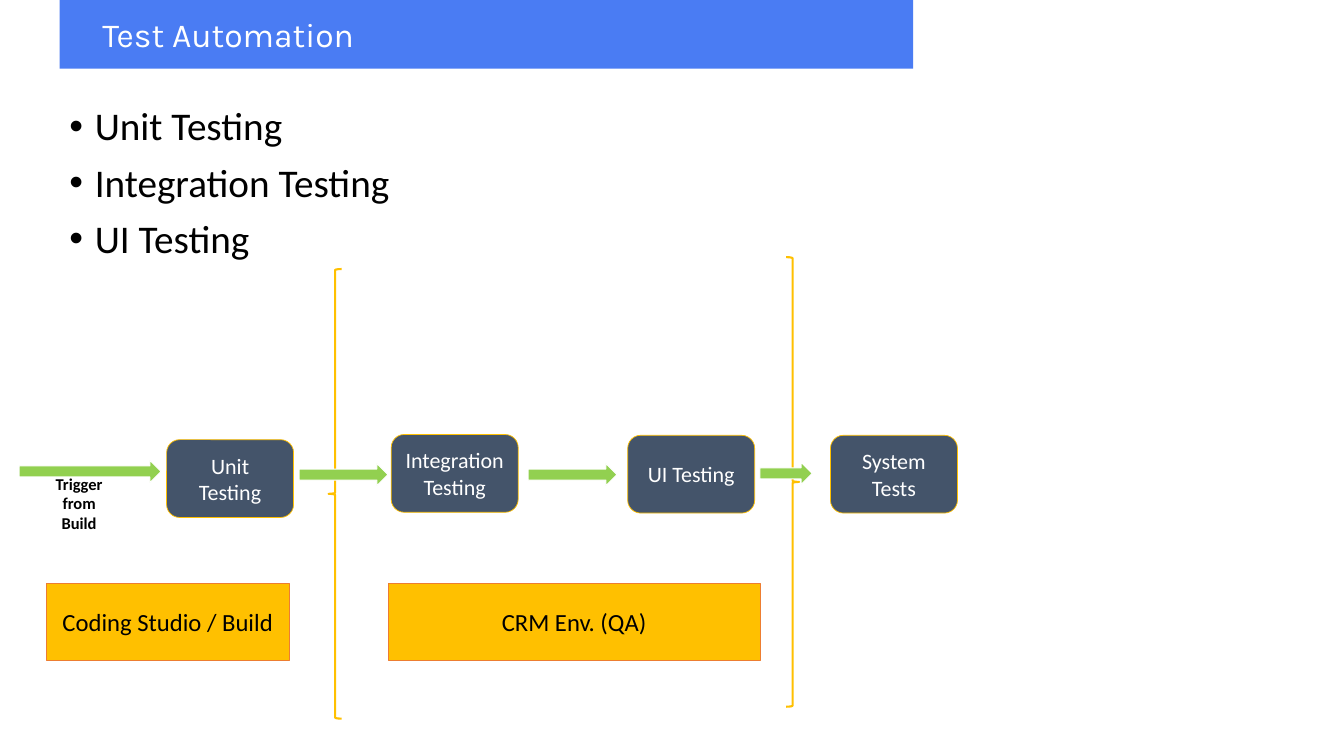
from lxml import etree
from pptx import Presentation
from pptx.dml.color import RGBColor
from pptx.enum.shapes import MSO_SHAPE
from pptx.enum.text import MSO_ANCHOR, PP_ALIGN
from pptx.oxml.ns import qn
from pptx.util import Cm, Pt

RECTANGLE = MSO_SHAPE.RECTANGLE
ROUNDED = MSO_SHAPE.ROUNDED_RECTANGLE
ARROW = MSO_SHAPE.RIGHT_ARROW
LEFT_BRACE = MSO_SHAPE.LEFT_BRACE
RIGHT_BRACE = MSO_SHAPE.RIGHT_BRACE
MIDDLE = MSO_ANCHOR.MIDDLE
LEFT = PP_ALIGN.LEFT
CENTER = PP_ALIGN.CENTER

BLUE, SLATE, AMBER = "4A7CF3", "44546A", "FFC000"
GREEN, ORANGE, WHITE, BLACK = "92D050", "ED7D31", "FFFFFF", "000000"


def color(value):
    return RGBColor.from_string(value)


def add_figure(kind, left, top, width, height, fill, line, weight):
    """Add a preset shape, placed in centimetres; fill None leaves it hollow."""
    figure = page.shapes.add_shape(kind, Cm(left), Cm(top), Cm(width), Cm(height))
    figure.shadow.inherit = False
    if fill:
        figure.fill.solid()
        figure.fill.fore_color.rgb = color(fill)
    else:
        figure.fill.background()
    figure.line.color.rgb = color(line)
    figure.line.width = Pt(weight)
    return figure


deck = Presentation()
deck.slide_width = Cm(33.87)
deck.slide_height = Cm(19.05)
page = deck.slides.add_slide(deck.slide_layouts[5])

# Title banner
title = page.shapes.title
title.left, title.top, title.width, title.height = Cm(1.5), Cm(0), Cm(21.51), Cm(1.73)
title.fill.solid()
title.fill.fore_color.rgb = color(BLUE)
frame = title.text_frame
frame.text = "Test Automation"
frame.vertical_anchor = MIDDLE
frame.margin_left = Cm(1.08)
para = frame.paragraphs[0]
para.alignment = LEFT
para.font.name = "Karla"
para.font.size = Pt(24)
para.font.color.rgb = color(WHITE)

# Kinds of testing
box = page.shapes.add_textbox(Cm(1.5), Cm(2.57), Cm(24.18), Cm(11.25))
frame = box.text_frame
frame.word_wrap = True
frame.text = "Unit Testing\nIntegration Testing\nUI Testing"
for index, para in enumerate(frame.paragraphs):
    para.line_spacing = 0.9
    para.space_before = Pt(10 if index else 0)
    properties = para._p.get_or_add_pPr()
    properties.set("marL", str(Cm(0.64)))
    properties.set("indent", str(-Cm(0.64)))
    etree.SubElement(properties, qn("a:buFont")).set("typeface", "Arial")
    etree.SubElement(properties, qn("a:buChar")).set("char", "•")
    para.font.name = "Calibri"
    para.font.size = Pt(28)
    para.font.color.rgb = color(BLACK)

# Environment boundaries, behind the arrows that cross them
for kind, left, top in [(LEFT_BRACE, 8.28, 6.78), (RIGHT_BRACE, 19.81, 6.48)]:
    add_figure(kind, left, top, 0.33, 11.33, None, AMBER, 1.5)

# Pipeline arrows
for left, top, width in [
    (0.48, 11.6, 3.58),
    (7.54, 11.68, 2.24),
    (13.31, 11.68, 2.24),
    (19.15, 11.65, 1.32),
]:
    add_figure(ARROW, left, top, width, 0.56, GREEN, WHITE, 0.75)

trigger = page.shapes.add_textbox(Cm(1.07), Cm(11.81), Cm(1.85), Cm(1.65))
frame = trigger.text_frame
frame.word_wrap = True
frame.text = "Trigger from Build"
para = frame.paragraphs[0]
para.alignment = CENTER
para.font.name = "Calibri"
para.font.size = Pt(11.8)
para.font.bold = True
para.font.color.rgb = color(BLACK)

# Pipeline stages and the environments below them
stage = (ROUNDED, 3.2, 1.96, SLATE, AMBER, WHITE, 15.7)
environment = (RECTANGLE, None, 1.92, AMBER, ORANGE, BLACK, 17.6)
for label, left, top, width, style in [
    ("Unit Testing", 4.2, 11.08, 3.2, stage),
    ("Integration Testing", 9.86, 10.95, 3.2, stage),
    ("UI Testing", 15.82, 10.97, 3.2, stage),
    ("System Tests", 20.93, 10.97, 3.2, stage),
    ("Coding Studio / Build", 1.17, 14.71, 6.12, environment),
    ("CRM Env. (QA)", 9.78, 14.71, 9.38, environment),
]:
    kind, _, height, fill, line, ink, size = style
    block = add_figure(kind, left, top, width, height, fill, line, 0.5)
    frame = block.text_frame
    frame.word_wrap = True
    frame.vertical_anchor = MIDDLE
    frame.margin_left = frame.margin_right = Cm(0.22)
    frame.text = label
    para = frame.paragraphs[0]
    para.alignment = CENTER
    para.font.name = "Calibri"
    para.font.size = Pt(size)
    para.font.color.rgb = color(ink)

deck.save("out.pptx")
